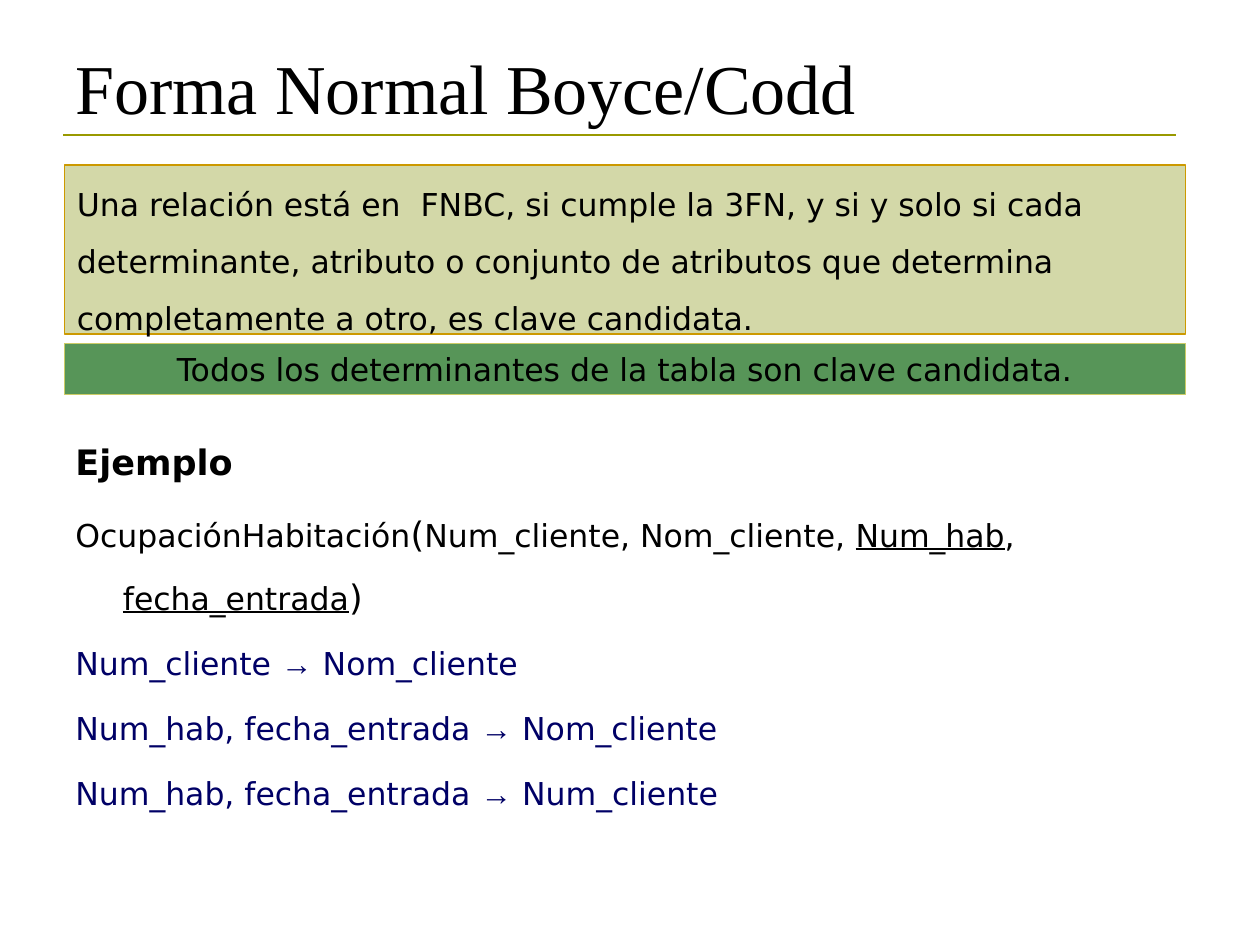
import pptx
import pptx.dml.color
import pptx.enum.shapes
import pptx.enum.text
import pptx.oxml.ns
import pptx.util
from lxml import etree
from pptx.util import Cm, Pt

ALIGN = pptx.enum.text.PP_ALIGN
ANCHOR = pptx.enum.text.MSO_ANCHOR
BODY_FONT, TITLE_FONT, ARROW_FONT = "DejaVu Sans", "Times New Roman", "Arial"
BLACK, NAVY = "000000", "000066"

# Content
TITLE = "Forma Normal Boyce/Codd"
DEFINITION = [
    "Una relación está en  FNBC, si cumple la 3FN, y si y solo si cada",
    "determinante, atributo o conjunto de atributos que determina",
    "completamente a otro, es clave candidata.",
]
SUMMARY = "Todos los determinantes de la tabla son clave candidata."
HEADING = "Ejemplo"
RELATION = [  # text, size, underlined
    ("OcupaciónHabitación", 18, False),
    ("(", 20, False),
    ("Num_cliente, Nom_cliente, ", 18, False),
    ("Num_hab", 18, True),
    (", ", 18, False),
    ("fecha_entrada", 18, True),
    (")", 20, False),
]
DEPENDENCIES = [
    ("Num_cliente", "Nom_cliente"),
    ("Num_hab, fecha_entrada", "Nom_cliente"),
    ("Num_hab, fecha_entrada", "Num_cliente"),
]

# Layout in centimetres: left, top, width, height
TITLE_BOX = (1.27, 0.76, 22.86, 1.96)
DEFINITION_BOX = (1.3, 3.33, 22.6, 3.4)
SUMMARY_BOX = (1.3, 6.93, 22.6, 1.02)
EXAMPLE_BOX = (1.27, 8.76, 22.86, 8.97)
RULE_LEFT, RULE_RIGHT, RULE_TOP = 1.27, 23.7, 2.72
HANGING = 0.96


def color(value):
    return pptx.dml.color.RGBColor.from_string(value)


def add_run(paragraph, text, size=18, font=BODY_FONT, ink=BLACK, bold=False, underline=False):
    run = paragraph.add_run()
    run.text = text
    run.font.size = Pt(size)
    run.font.name = font
    run.font.color.rgb = color(ink)
    run.font.bold = bold
    run.font.underline = underline


def prepare_text(shape, anchor, top_inset=0.13, wrap=True):
    frame = shape.text_frame
    frame.word_wrap = wrap
    frame.vertical_anchor = anchor
    frame.margin_left = frame.margin_right = Cm(0.25)
    frame.margin_top, frame.margin_bottom = Cm(top_inset), Cm(0.13)
    return frame


def add_panel(slide, box, fill, line, line_width):
    shape = slide.shapes.add_shape(
        pptx.enum.shapes.MSO_SHAPE.RECTANGLE, *map(Cm, box))
    shape.shadow.inherit = False
    shape.fill.solid()
    shape.fill.fore_color.rgb = color(fill)
    shape.line.color.rgb = color(line)
    shape.line.width = Pt(line_width)
    return shape


def add_example_paragraph(frame, space_before):
    paragraph = frame.add_paragraph()
    paragraph.line_spacing = 1.5
    paragraph.space_before = Pt(space_before)
    properties = paragraph._p.get_or_add_pPr()
    properties.set("marL", str(Cm(HANGING)))
    properties.set("indent", str(-Cm(HANGING)))
    return paragraph


presentation = pptx.Presentation()
presentation.slide_width, presentation.slide_height = Cm(25.4), Cm(19.05)
slide = presentation.slides.add_slide(presentation.slide_layouts[6])

# Rule under the title
rule = slide.shapes.add_connector(
    pptx.enum.shapes.MSO_CONNECTOR.STRAIGHT,
    Cm(RULE_LEFT), Cm(RULE_TOP), Cm(RULE_RIGHT), Cm(RULE_TOP))
rule.line.color.rgb = color("999900")
rule.line.width = Pt(1.5)
etree.SubElement(rule._element.spPr, pptx.oxml.ns.qn("a:effectLst"))

# Title
title = slide.shapes.add_textbox(*map(Cm, TITLE_BOX))
frame = prepare_text(title, ANCHOR.BOTTOM)
add_run(frame.paragraphs[0], TITLE, 40, TITLE_FONT)

# Example: heading, relation and dependencies
example = slide.shapes.add_textbox(*map(Cm, EXAMPLE_BOX))
frame = prepare_text(example, ANCHOR.TOP)
add_run(frame.paragraphs[0], HEADING, 20, bold=True)
paragraph = add_example_paragraph(frame, 5)
for text, size, underlined in RELATION:
    add_run(paragraph, text, size, underline=underlined)
for determinant, dependent in DEPENDENCIES:
    paragraph = add_example_paragraph(frame, 4.5)
    add_run(paragraph, determinant + " ", ink=NAVY)
    add_run(paragraph, "→", font=ARROW_FONT, ink=NAVY)
    add_run(paragraph, " " + dependent, ink=NAVY)

# Summary panel
summary = add_panel(slide, SUMMARY_BOX, "579558", "CCCC66", 0.75)
frame = prepare_text(summary, ANCHOR.TOP)
frame.paragraphs[0].alignment = ALIGN.CENTER
add_run(frame.paragraphs[0], SUMMARY)

# Definition panel
definition = add_panel(slide, DEFINITION_BOX, "D3D8A8", "CC9900", 1)
frame = prepare_text(definition, ANCHOR.TOP, top_inset=0.41, wrap=False)
for index, text in enumerate(DEFINITION):
    paragraph = frame.add_paragraph() if index else frame.paragraphs[0]
    paragraph.alignment = ALIGN.LEFT
    paragraph.line_spacing = 1.5 if index else 1.0
    add_run(paragraph, text)

presentation.save("out.pptx")
